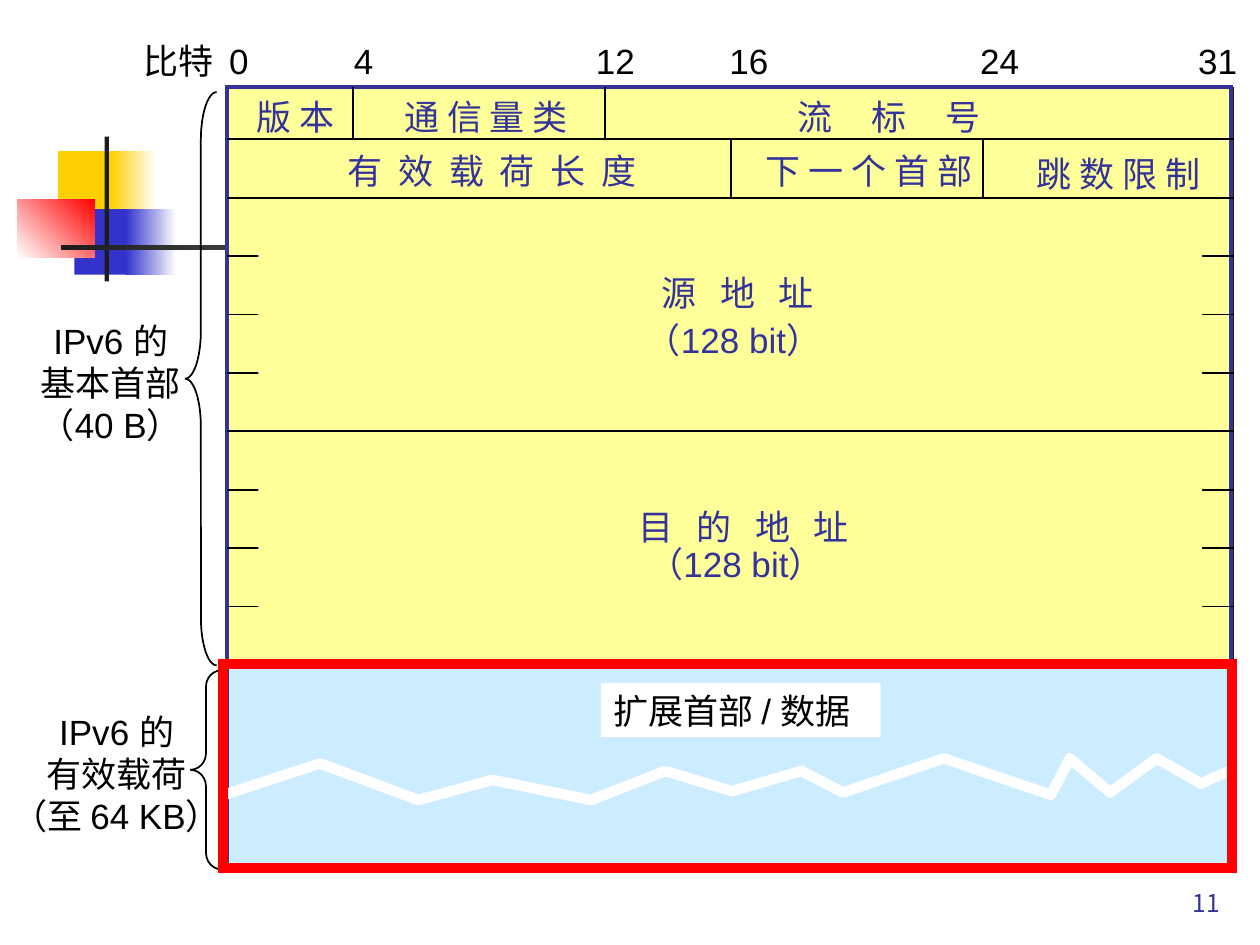
from lxml import etree
from pptx import Presentation
from pptx.dml.color import RGBColor
from pptx.enum.shapes import MSO_CONNECTOR, MSO_SHAPE
from pptx.enum.text import MSO_ANCHOR, MSO_AUTO_SIZE, PP_ALIGN
from pptx.oxml import parse_xml
from pptx.oxml.ns import nsdecls, qn
from pptx.util import Pt

RECTANGLE = MSO_SHAPE.RECTANGLE
LEFT_BRACE = MSO_SHAPE.LEFT_BRACE
STRAIGHT = MSO_CONNECTOR.STRAIGHT
LEFT, CENTER, RIGHT = PP_ALIGN.LEFT, PP_ALIGN.CENTER, PP_ALIGN.RIGHT
TOP, BOTTOM = MSO_ANCHOR.TOP, MSO_ANCHOR.BOTTOM
GROW = MSO_AUTO_SIZE.SHAPE_TO_FIT_TEXT

BLACK, WHITE, INK = "000000", "FFFFFF", "1C1C1C"
NAVY, YELLOW, SKY, RED = "333399", "FFFF99", "CCECFF", "FF0000"
GOLD, BLUE = "FFCF01", "3333CC"
THIN = 1
GRID_LEFT, GRID_RIGHT, GRID_TOP = 129.6, 705, 49.7
FIRST_ROW, ROW_HEIGHT, BIT_WIDTH = 79.6, 33.37, 18


def color(hex_string):
    return RGBColor.from_string(hex_string)


def row_y(row):
    return FIRST_ROW + row * ROW_HEIGHT


def style_line(line, line_color, width):
    if line_color is None:
        line.fill.background()
    else:
        line.color.rgb = color(line_color)
        line.width = Pt(width)


def add_box(slide, box, fill=None, line_color=None, width=THIN, kind=RECTANGLE):
    shape = slide.shapes.add_shape(kind, *map(Pt, box))
    shape.shadow.inherit = False
    if fill is None:
        shape.fill.background()
    else:
        shape.fill.solid()
        shape.fill.fore_color.rgb = color(fill)
    style_line(shape.line, line_color, width)
    if line_color is not None:
        outline = shape._element.spPr.find(qn("a:ln"))
        etree.SubElement(outline, qn("a:miter"), lim="800000")
    return shape


def add_gradient(slide, box, start, end, angle=0):
    shape = add_box(slide, box)
    shape.fill.gradient()
    shape.fill.gradient_angle = angle
    for stop, stop_color in zip(shape.fill.gradient_stops, (start, end)):
        stop.color.rgb = color(stop_color)


def add_hard_shadow(shape):
    effects = shape._element.spPr.find(qn("a:effectLst"))
    effects.append(parse_xml(
        f'<a:outerShdw {nsdecls("a")} blurRad="0" dist="17780" dir="2700000">'
        f'<a:srgbClr val="{INK}"/></a:outerShdw>'))


def add_line(slide, start_x, start_y, end_x, end_y):
    points = map(Pt, (start_x, start_y, end_x, end_y))
    connector = slide.shapes.add_connector(STRAIGHT, *points)
    style_line(connector.line, BLACK, THIN)
    etree.SubElement(connector._element.spPr, qn("a:effectLst"))


def write(shape, text, text_color=BLACK, size=20, align=LEFT,
          anchor=TOP, font="Arial", wrap=False):
    frame = shape.text_frame
    frame.text = text
    frame.word_wrap = wrap
    frame.vertical_anchor = anchor
    if not wrap:
        frame.auto_size = GROW
    for paragraph in frame.paragraphs:
        paragraph.alignment = align
        for run in paragraph.runs:
            run.font.name = font
            run.font.size = Pt(size)
            run.font.color.rgb = color(text_color)


def add_text(slide, box, text, **style):
    write(slide.shapes.add_textbox(*map(Pt, box)), text, **style)


def add_brace(slide, box, curve):
    brace = add_box(slide, box, line_color=BLACK, kind=LEFT_BRACE)
    brace.adjustments[0] = curve


def add_wave(slide, points):
    places = [(Pt(x), Pt(y)) for x, y in points]
    builder = slide.shapes.build_freeform(*places[0])
    builder.add_line_segments(places[1:], close=False)
    wave = builder.convert_to_shape()
    wave.shadow.inherit = False
    wave.fill.background()
    style_line(wave.line, WHITE, 6)


def add_ornament(slide):
    add_box(slide, (33.1, 86.4, 34.6, 37.4), GOLD)
    add_gradient(slide, (63.4, 86.4, 25.9, 37.4), GOLD, WHITE)
    add_box(slide, (42.5, 119.5, 33.1, 37.4), BLUE)
    add_gradient(slide, (72, 119.5, 28.8, 37.4), BLUE, WHITE)
    add_gradient(slide, (10.1, 113.8, 43.9, 33.1), WHITE, RED, 45)
    add_box(slide, (59.8, 78, 2.5, 82.8), INK)
    add_gradient(slide, (34.6, 140.2, 648, 2.5), INK, WHITE)


def add_header_grid(slide):
    frame = add_box(slide, (GRID_LEFT, GRID_TOP, 573.8, 447.1), YELLOW, NAVY, 2.25)
    add_hard_shadow(frame)
    for row in range(10):
        add_line(slide, GRID_LEFT, row_y(row), GRID_RIGHT, row_y(row))
    for top in (135.4, 268.6):
        add_box(slide, (147.6, top, 539.3, 89), YELLOW)
    for bit, top, bottom in ((4, GRID_TOP, row_y(0)), (12, GRID_TOP, row_y(0)),
                             (16, row_y(0), row_y(1)), (24, row_y(0), row_y(1))):
        x = GRID_LEFT + bit * BIT_WIDTH
        add_line(slide, x, top, x, bottom)


def add_labels(slide):
    bits = (("比特", 74.9, 54.7), ("0", 123.8, 25.2), ("4", 195.1, 25.2),
            ("12", 333.4, 36.7), ("16", 409.7, 36.7), ("24", 553, 36.7),
            ("31", 677.5, 36.7))
    for text, left, width in bits:
        add_text(slide, (left, 19.1, width, 31), text)
    fields = (("版 本", 139.7, 51.1, 59), ("通 信 量 类", 223.9, 51.1, 108),
              ("流     标     号", 448.6, 51.1, 119.5),
              ("有  效  载  荷  长  度", 191.5, 82.1, 179.3),
              ("下 一 个 首 部", 430.6, 82.1, 132.5),
              ("跳 数 限 制", 585.4, 83.5, 108),
              ("源   地   址", 371, 151.6, 108),
              ("（128 bit）", 362, 178.6, 130),
              ("目   的   地   址", 357.5, 285.1, 142),
              ("（128 bit）", 363.4, 306.7, 130))
    for text, left, top, width in fields:
        add_text(slide, (left, top, width, 31), text, text_color=NAVY)


def add_payload(slide):
    add_box(slide, (131, 381.6, 572.4, 115.2), SKY)
    label = add_box(slide, (343.4, 390.2, 159.8, 31), WHITE)
    write(label, "扩展首部 / 数据")
    add_wave(slide, ((123.1, 455.8), (182.9, 436.3), (239, 457.2), (281.5, 445.7),
                     (337.7, 457.2), (380.2, 440.6), (418.3, 452.2), (457.9, 440.6),
                     (481.7, 452.9), (539.3, 433.4), (600.5, 454.3), (611.3, 433.4),
                     (634.3, 452.9), (661, 433.4), (686.2, 447.8), (720, 432.7)))


def add_side_notes(slide):
    add_brace(slide, (105.8, 52.6, 18, 327.6), 1.52)
    add_text(slide, (10.8, 179.3, 105.1, 79.2),
             "IPv6 的\n基本首部\n（40 B）", align=CENTER)
    add_brace(slide, (108.7, 383, 18, 113.8), 0.52)
    add_text(slide, (-5, 402.5, 143.3, 79.2),
             "IPv6 的\n有效载荷\n（至 64 KB）", align=CENTER)


def main():
    presentation = Presentation()
    presentation.slide_width, presentation.slide_height = Pt(720), Pt(540)
    slide = presentation.slides.add_slide(presentation.slide_layouts[6])
    add_ornament(slide)
    add_text(slide, (554.4, 491.8, 149.8, 36), "11", text_color=NAVY, size=14,
             align=RIGHT, anchor=BOTTOM, font="Noto Sans CJK JP", wrap=True)
    add_header_grid(slide)
    add_labels(slide)
    add_payload(slide)
    add_side_notes(slide)
    add_box(slide, (127.4, 379.4, 576.7, 116.6), line_color=RED, width=6)
    presentation.save("out.pptx")


main()
